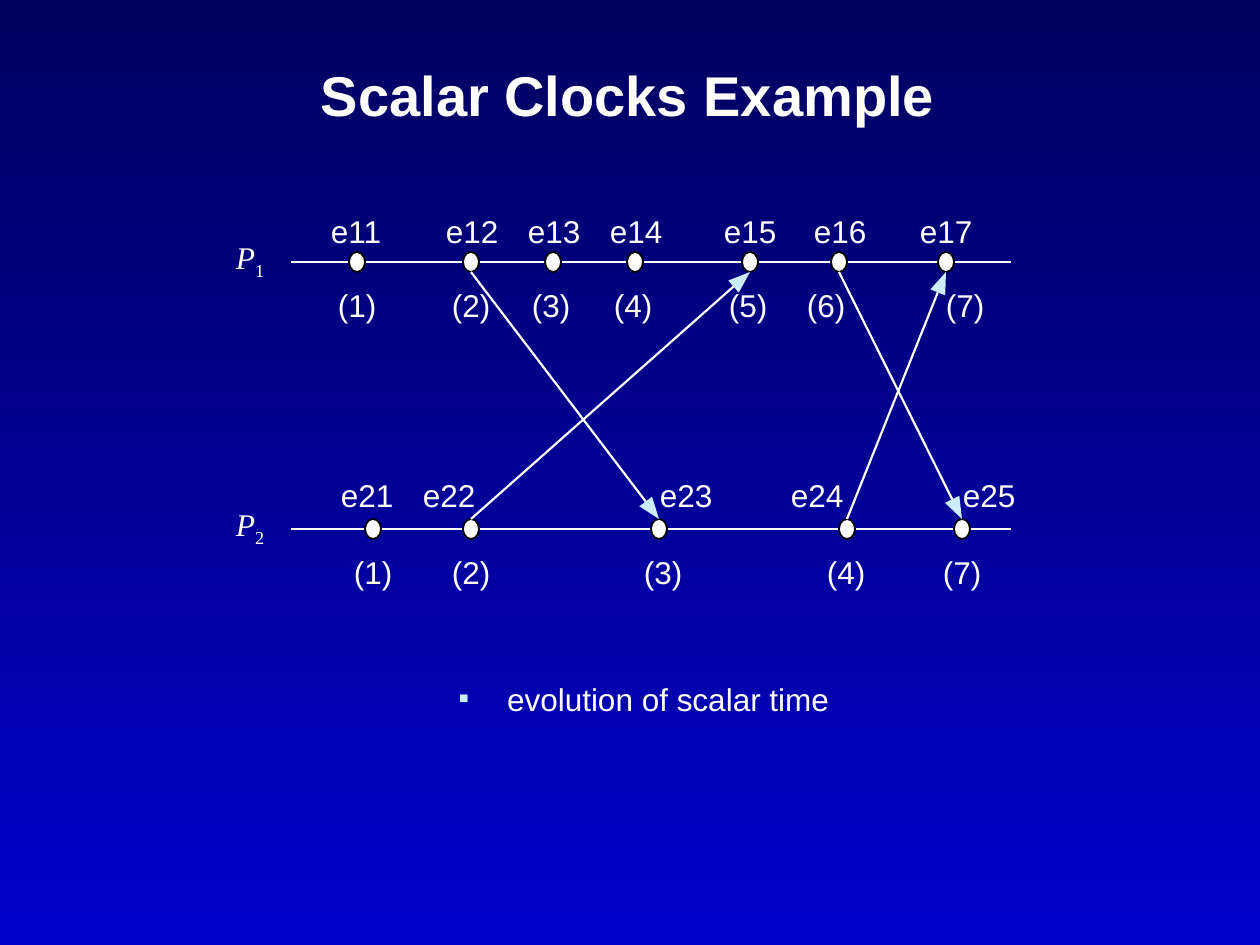
"""Build the slide that shows scalar clocks advancing on two processes."""
from math import hypot

from lxml.etree import SubElement
from pptx import Presentation
from pptx.dml.color import RGBColor
from pptx.enum.shapes import MSO_CONNECTOR, MSO_SHAPE
from pptx.enum.text import MSO_ANCHOR, PP_ALIGN
from pptx.oxml.ns import qn
from pptx.util import Pt

PX = 914400 / 126
WHITE = RGBColor(0xFF, 0xFF, 0xFF)
BLACK = RGBColor(0x00, 0x00, 0x00)
PALE = RGBColor(0xCC, 0xEC, 0xFF)
NIGHT = RGBColor(0x00, 0x00, 0x5E)
BLUE = RGBColor(0x00, 0x00, 0xCC)

TITLE = "Scalar Clocks Example"
NOTE = "evolution of scalar time"
# event, dot centre, event label left, clock, clock label left
PROCESSES = [
    {"number": "1", "y": 262, "label_rise": 50, "events": [
        ("e11", 357, 331, "(1)", 338), ("e12", 471, 446, "(2)", 452),
        ("e13", 553, 528, "(3)", 532), ("e14", 635, 610, "(4)", 614),
        ("e15", 750, 724, "(5)", 729), ("e16", 839, 814, "(6)", 807),
        ("e17", 946, 920, "(7)", 946)]},
    {"number": "2", "y": 529, "label_rise": 53, "events": [
        ("e21", 373, 341, "(1)", 354), ("e22", 471, 423, "(2)", 452),
        ("e23", 659, 660, "(3)", 644), ("e24", 847, 791, "(4)", 827),
        ("e25", 962, 963, "(7)", 943)]},
]
MESSAGES = [("e12", "e23"), ("e22", "e15"), ("e24", "e17"), ("e16", "e25")]

LINE_LEFT, LINE_RIGHT = 291, 1011
DOT_WIDTH, DOT_HEIGHT = 16, 20
HEAD_LENGTH, HEAD_HALF = 22, 8
LABEL_FONT = {"name": "Arial", "size": Pt(18)}
PROCESS_FONT = {"name": "Times New Roman", "size": Pt(18)}
TITLE_FONT = {"name": "Arial", "size": Pt(32), "bold": True}


def emu(*lengths):
    return [round(length * PX) for length in lengths]


def style(font, values):
    for key, value in values.items():
        setattr(font, key, value)
    font.color.rgb = WHITE


def add_box(slide, box, inset=0, wrap=False):
    frame = slide.shapes.add_textbox(*emu(*box)).text_frame
    frame.word_wrap = wrap
    for side, margin in zip(("left", "top", "right", "bottom"), (inset, inset / 2) * 2):
        setattr(frame, f"margin_{side}", round(margin * PX))
    return frame.paragraphs[0]


def add_label(slide, text, left, top, width):
    label = add_box(slide, (left, top, width, 38))
    label.text = text
    style(label.font, LABEL_FONT)


def add_line(slide, start, end, width):
    line = slide.shapes.add_connector(MSO_CONNECTOR.STRAIGHT, *emu(*start, *end))
    line.line.color.rgb = WHITE
    line.line.width = Pt(width)
    SubElement(line._element.spPr, qn("a:effectLst"))


def add_dot(slide, x, y):
    dot = slide.shapes.add_shape(MSO_SHAPE.OVAL, *emu(
        x - DOT_WIDTH / 2, y - DOT_HEIGHT / 2, DOT_WIDTH, DOT_HEIGHT))
    dot.shadow.inherit = False
    dot.fill.solid()
    dot.fill.fore_color.rgb = WHITE
    dot.line.color.rgb = BLACK
    dot.line.width = Pt(1)


def add_message(slide, start, end):
    (x1, y1), (x2, y2) = start, end
    length = hypot(x2 - x1, y2 - y1)
    dx, dy = (x2 - x1) / length, (y2 - y1) / length
    base_x, base_y = x2 - HEAD_LENGTH * dx, y2 - HEAD_LENGTH * dy
    corners = [(base_x + side * dy, base_y - side * dx)
               for side in (HEAD_HALF, -HEAD_HALF)]
    builder = slide.shapes.build_freeform(*emu(x2, y2), scale=1.0)
    builder.add_line_segments([emu(*corner) for corner in corners], close=True)
    head = builder.convert_to_shape()
    head.shadow.inherit = False
    head.fill.solid()
    head.fill.fore_color.rgb = PALE
    head.line.fill.background()
    add_line(slide, start, (base_x, base_y), 1.25)


def add_process(slide, process):
    y = process["y"]
    add_line(slide, (LINE_LEFT, y), (LINE_RIGHT, y), 1)
    name = add_box(slide, (236, y - 24, 29, 43))
    for text, italic in (("P", True), (process["number"], False)):
        run = name.add_run()
        run.text = text
        style(run.font, {**PROCESS_FONT, "italic": italic})
    run._r.get_or_add_rPr().set("baseline", "-25000")
    for event, x, event_left, clock, clock_left in process["events"]:
        add_dot(slide, x, y)
        add_label(slide, event, event_left, y - process["label_rise"], 53)
        add_label(slide, clock, clock_left, y + 24, 39)


def add_title(slide):
    title = slide.shapes.title
    title.left, title.top, title.width, title.height = emu(173, 38, 910, 120)
    title.text_frame.text = TITLE
    title.text_frame.vertical_anchor = MSO_ANCHOR.MIDDLE
    heading = title.text_frame.paragraphs[0]
    heading.alignment = PP_ALIGN.CENTER
    heading.line_spacing = 0.9
    style(heading.font, TITLE_FONT)


def add_note(slide):
    note = add_box(slide, (446, 673, 422, 55), inset=13, wrap=True)
    note.text = NOTE
    properties = note._p.get_or_add_pPr()
    indent = emu(48)[0]
    properties.set("marL", str(indent))
    properties.set("indent", str(-indent))
    colour = SubElement(properties, qn("a:buClr"))
    SubElement(colour, qn("a:srgbClr")).set("val", str(PALE))
    SubElement(properties, qn("a:buSzPct")).set("val", "50000")
    SubElement(properties, qn("a:buFont")).set("typeface", "Arial")
    SubElement(properties, qn("a:buChar")).set("char", "■")
    style(note.font, LABEL_FONT)


def main():
    deck = Presentation()
    deck.slide_width, deck.slide_height = emu(1260, 945)
    slide = deck.slides.add_slide(deck.slide_layouts[5])
    backdrop = slide.background.fill
    backdrop.gradient()
    backdrop.gradient_angle = 270
    for stop, position, colour in zip(backdrop.gradient_stops, (0, 1), (NIGHT, BLUE)):
        stop.position = position
        stop.color.rgb = colour
    add_title(slide)
    add_note(slide)
    ports = {}
    for process, side in zip(PROCESSES, (1, -1)):
        add_process(slide, process)
        for event, x, *_ in process["events"]:
            ports[event] = (x, process["y"] + side * DOT_HEIGHT / 2)
    for sender, receiver in MESSAGES:
        add_message(slide, ports[sender], ports[receiver])
    deck.save("out.pptx")


if __name__ == "__main__":
    main()
